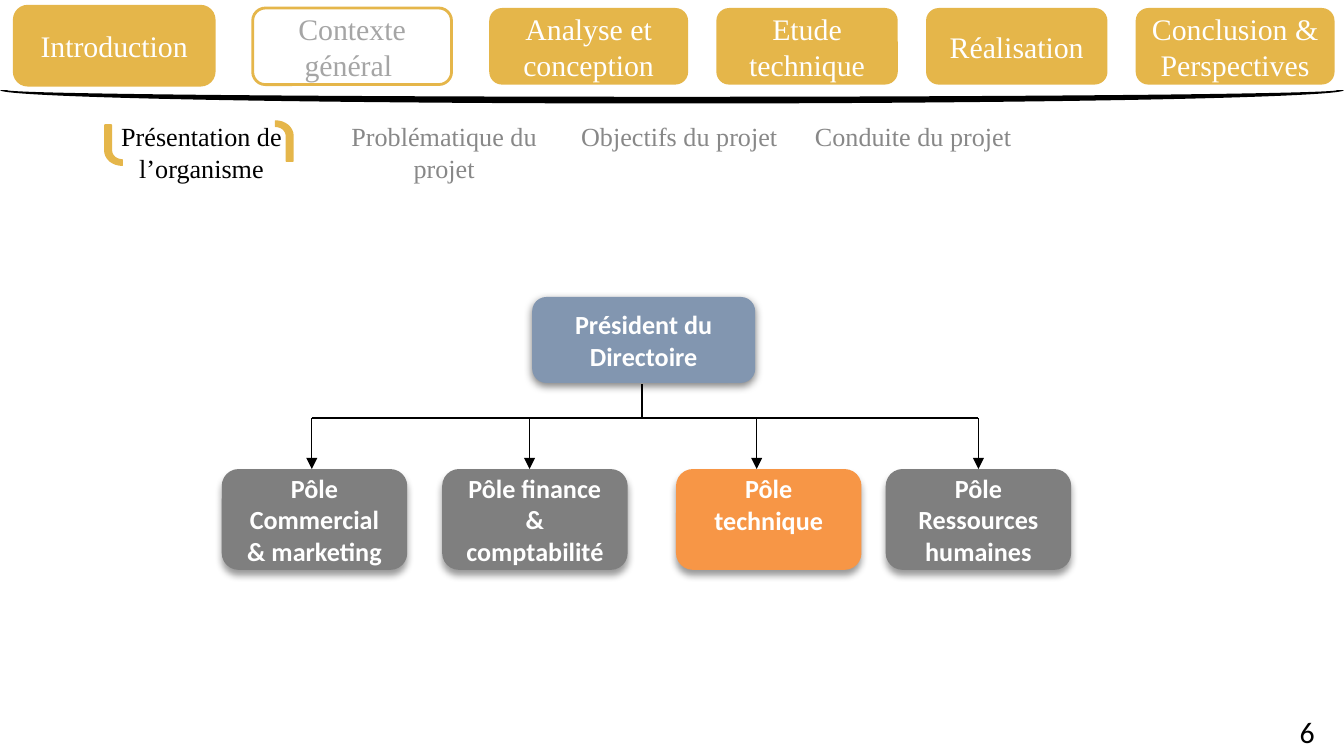
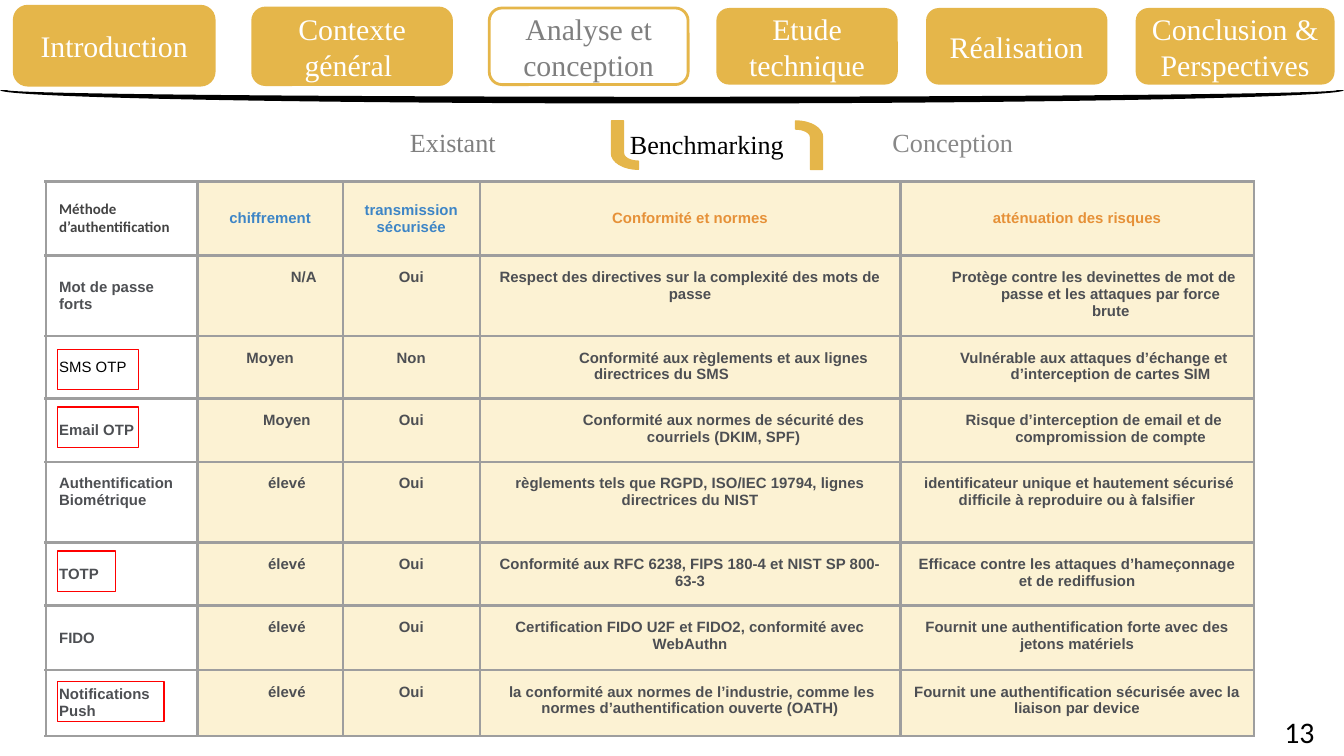
from dataclasses import dataclass
from itertools import pairwise
from math import cos, pi, sin

from lxml.etree import SubElement
from pptx import Presentation
from pptx.dml.color import RGBColor
from pptx.enum.shapes import MSO_CONNECTOR as Connector, MSO_SHAPE as Preset
from pptx.enum.text import MSO_ANCHOR as Anchor, PP_ALIGN as Align
from pptx.oxml.ns import qn
from pptx.util import Inches, Pt

COLORS = {
    "gold": "E5B64A", "white": "FFFFFF", "black": "000000", "light": "A5A5A5",
    "muted": "888888", "grey": "7F7F7F", "slate": "8296B0", "orange": "F79646",
    "red": "FF0000", "border": "9E9E9E", "cream": "F1C232", "charcoal": "434343",
    "body": "4D4F53", "blue": "3D85C6", "amber": "E69138",
}
SERIF, SANS, TABLE_FONT = "Times New Roman", "Calibri", "Arial"


@dataclass(frozen=True)
class NavButton:
    text: str
    left: float
    width: float
    top: float = 0.06
    height: float = 0.57
    outline: float = 1.5


@dataclass(frozen=True)
class Tab:
    text: str
    left: float
    top: float
    width: float
    height: float = 0.34
    color: str = "muted"


@dataclass(frozen=True)
class Hook:
    """Corner bracket: a stem that bends at the knee into a tip."""
    left: float
    top: float
    width: float
    height: float
    stem: float
    knee: float
    tip: float


@dataclass(frozen=True)
class Unit:
    text: str
    left: float
    top: float
    width: float
    height: float
    color: str = "grey"
    bottom_inset: float = 0.05
    shadow: tuple = (40, 4, 3)  # opacity %, blur pt, distance pt


NAVIGATION = (
    NavButton("Introduction", 0.11, 1.48, 0.05, 0.58, 2),
    NavButton("Contexte général ", 1.88, 1.48),
    NavButton("Analyse et conception", 3.64, 1.48),
    NavButton("Etude technique", 5.33, 1.35),
    NavButton("Réalisation", 6.89, 1.35),
    NavButton("Conclusion & Perspectives", 8.45, 1.48),
)

CONTEXT_TABS = (
    Tab("Présentation de l’organisme", 0.61, 0.85, 1.78, 0.57, "black"),
    Tab("Problématique du projet", 2.47, 0.85, 1.67, 0.57),
    Tab("Objectifs du projet", 4.22, 0.85, 1.67),
    Tab("Conduite du projet", 5.96, 0.85, 1.67),
)
ANALYSIS_TABS = (
    Tab("Existant", 2.51, 0.89, 1.72, color="grey"),
    Tab("Benchmarking", 4.4, 0.91, 1.72, color="black"),
    Tab("Conception", 6.23, 0.89, 1.72),
)

PRESIDENT = Unit("Président du Directoire", 3.96, 2.21, 1.66, 0.64, "slate",
                 shadow=(50, 4.5, 1.5))
DIVISIONS = (
    Unit("Pôle Commercial & marketing", 1.65, 3.49, 1.38, 0.75),
    Unit("Pôle finance & comptabilité", 3.29, 3.49, 1.38, 0.75),
    Unit("Pôle technique", 5.03, 3.49, 1.38, 0.75, "orange", 0.28),
    Unit("Pôle Ressources humaines", 6.59, 3.49, 1.38, 0.75),
)
BUS_Y, TRUNK_X = 3.11, 4.78
ARROWS_X = (2.32, 3.94, 5.63, 7.28)

COLUMN_WIDTHS = (1.13, 1.08, 1.02, 3.13, 2.63)
ROW_HEIGHTS = (0.55, 0.6, 0.46, 0.47, 0.6, 0.47, 0.48, 0.49)
HEADER_COLORS = ("charcoal", "blue", "blue", "amber", "amber")
METHODS = (
    ("Méthode d’authentification", "chiffrement", "transmission sécurisée",
     "Conformité et normes", "atténuation des risques"),
    ("Mot de passe forts", "N/A", "Oui",
     "Respect des directives sur la complexité des mots de passe",
     "Protège contre les devinettes de mot de passe et les attaques par force brute"),
    ("SMS OTP", "Moyen", "Non",
     "Conformité aux règlements et aux lignes directrices du SMS\t",
     "Vulnérable aux attaques d’échange et d’interception de cartes SIM"),
    ("Email OTP", "Moyen", "Oui",
     "Conformité aux normes de sécurité des courriels (DKIM, SPF)",
     "Risque d’interception de email et de compromission de compte"),
    ("Authentification Biométrique", "élevé", "Oui",
     "règlements tels que RGPD, ISO/IEC 19794, lignes directrices du NIST",
     " identificateur unique et hautement sécurisé difficile à reproduire ou à falsifier"),
    ("TOTP", "élevé", "Oui",
     "Conformité aux RFC 6238, FIPS 180-4 et NIST SP 800-63-3",
     "Efficace contre les attaques d’hameçonnage et de rediffusion"),
    ("FIDO", "élevé", "Oui",
     "Certification FIDO U2F et FIDO2, conformité avec WebAuthn",
     "Fournit une authentification forte avec des jetons matériels"),
    ("Notifications Push", "élevé", "Oui",
     " la conformité aux normes de l’industrie, comme les normes d’authentification "
     "ouverte (OATH)",
     "Fournit une authentification sécurisée avec la liaison par device"),
)
# (row, column): left margin and first-line indent
INDENTS = {(row, 1): (0.5, -0.25) for row in range(3, 8)}
INDENTS |= {(row, 4): (0.5, -0.25) for row in range(1, 4)}
INDENTS |= {cell: (0.5, 0) for cell in ((1, 1), (2, 3), (3, 3))}
TOP_HEADING_ROW = 4
# top and width of the frames around the selected methods
FRAMES = ((2.6, 0.6), (5.07, 0.79), (3.03, 0.6), (4.1, 0.43))


# Shared helpers
def rgb(name: str) -> RGBColor:
    return RGBColor.from_string(COLORS[name])


def box(left: float, top: float, width: float, height: float) -> tuple:
    return Inches(left), Inches(top), Inches(width), Inches(height)


def write(frame, text: str, font: str, size: float, color: str,
          align=Align.CENTER, bold: bool = False):
    frame.word_wrap = True
    paragraph = frame.paragraphs[0]
    paragraph.text = text
    paragraph.alignment = align
    paragraph.font.name, paragraph.font.size = font, Pt(size)
    paragraph.font.bold, paragraph.font.color.rgb = bold, rgb(color)
    return paragraph


def paint(shape, fill: str | None, line: str | None = None, width: float = 0.75) -> None:
    shape.shadow.inherit = False
    if fill:
        shape.fill.solid()
        shape.fill.fore_color.rgb = rgb(fill)
    else:
        shape.fill.background()
    if line:
        shape.line.color.rgb, shape.line.width = rgb(line), Pt(width)
    else:
        shape.line.fill.background()


def add_line(slide, start: tuple, end: tuple, width: float = 0.75,
             arrow: bool = False) -> None:
    line = slide.shapes.add_connector(Connector.STRAIGHT, *map(Inches, start + end))
    line.line.color.rgb, line.line.width = rgb("black"), Pt(width)
    if arrow:
        SubElement(line.line._get_or_add_ln(), qn("a:tailEnd"), type="triangle")
    SubElement(line._element.spPr, qn("a:effectLst"))


def add_label(slide, tab: Tab) -> None:
    label = slide.shapes.add_textbox(*box(tab.left, tab.top, tab.width, tab.height))
    write(label.text_frame, tab.text, SERIF, 14, tab.color)


def add_hook(slide, hook: Hook, rotation: int = 0) -> None:
    def bend(radius_x: float, radius_y: float) -> list:
        angles = [step * pi / 16 for step in range(9)]
        return [(hook.left + hook.width - radius_x * cos(angle),
                 hook.top + hook.knee + radius_y * sin(angle)) for angle in angles]

    depth = hook.height - hook.knee
    inner = bend(hook.width - hook.stem, depth - hook.tip)
    points = bend(hook.width, depth) + inner[::-1] + [(hook.left + hook.stem, hook.top)]
    builder = slide.shapes.build_freeform(Inches(hook.left), Inches(hook.top))
    builder.add_line_segments([(Inches(x), Inches(y)) for x, y in points], close=True)
    shape = builder.convert_to_shape()
    shape.rotation = rotation
    paint(shape, "gold", "gold")


def add_frame(slide, number: int, active: int, active_color: str) -> None:
    """Draw the curved rule, the navigation band and the page number."""
    arc = slide.shapes.add_shape(Preset.BLOCK_ARC, *box(0, 0.57, 10, 0.2))
    arc.rotation = 180
    for index, value in enumerate((108, 0, 0.25)):
        arc.adjustments[index] = value
    paint(arc, "black")

    page = slide.shapes.add_textbox(*box(7.55, 5.29, 2.33, 0.3)).text_frame
    page.vertical_anchor = Anchor.MIDDLE
    write(page, str(number), SANS, 16, "black", Align.RIGHT)

    for index, button in enumerate(NAVIGATION):
        current = index == active
        shape = slide.shapes.add_shape(
            Preset.ROUNDED_RECTANGLE,
            *box(button.left, button.top, button.width, button.height))
        paint(shape, "white" if current else "gold",
              "gold" if index <= active else None, button.outline)
        frame = shape.text_frame
        frame.margin_left = frame.margin_right = Inches(0.07)
        frame.margin_top = frame.margin_bottom = Inches(0.04)
        write(frame, button.text, SERIF, 16, active_color if current else "white")


# Organisation chart
def add_unit(slide, unit: Unit) -> None:
    shape = slide.shapes.add_shape(
        Preset.ROUNDED_RECTANGLE, *box(unit.left, unit.top, unit.width, unit.height))
    paint(shape, unit.color)
    opacity, blur, distance = unit.shadow
    shadow = SubElement(shape._element.spPr.find(qn("a:effectLst")), qn("a:outerShdw"),
                        blurRad=str(Pt(blur)), dist=str(Pt(distance)),
                        dir="5400000", rotWithShape="0")
    tint = SubElement(shadow, qn("a:srgbClr"), val=COLORS["black"])
    SubElement(tint, qn("a:alpha"), val=str(opacity * 1000))
    shape.text_frame.margin_bottom = Inches(unit.bottom_inset)
    write(shape.text_frame, unit.text, SANS, 14, "white", bold=True)


def build_organisation(slide) -> None:
    add_frame(slide, 6, 1, "light")
    for tab in CONTEXT_TABS:
        add_label(slide, tab)
    add_hook(slide, Hook(2.05, 0.9, 0.13, 0.3, 0.05, 0.19, 0.04), 180)
    add_hook(slide, Hook(0.78, 0.93, 0.13, 0.3, 0.05, 0.19, 0.04))
    for unit in (*DIVISIONS, PRESIDENT):
        add_unit(slide, unit)
    for x in ARROWS_X:
        add_line(slide, (x, BUS_Y), (x, 3.49), arrow=True)
    add_line(slide, (TRUNK_X, 2.86), (TRUNK_X, BUS_Y), 1)
    for start, end in pairwise((ARROWS_X[0], TRUNK_X, *ARROWS_X[2:])):
        add_line(slide, (start, BUS_Y), (end, BUS_Y))


# Benchmark table
def style_cell(cell, fill: str | None) -> None:
    properties = cell._tc.get_or_add_tcPr()
    if fill:
        cell.fill.solid()
        cell.fill.fore_color.rgb = rgb(fill)
        tint = properties.find(qn("a:solidFill")).find(qn("a:srgbClr"))
        SubElement(tint, qn("a:alpha"), val="21000")
    else:
        cell.fill.background()
    for index, side in enumerate(("a:lnL", "a:lnR", "a:lnT", "a:lnB")):
        border = SubElement(properties, qn(side), w=str(Pt(1.5)))
        SubElement(SubElement(border, qn("a:solidFill")), qn("a:srgbClr"),
                   val=COLORS["border"])
        properties.insert(index, border)
    cell.margin_left = cell.margin_right = Inches(0.1)
    cell.margin_top = cell.margin_bottom = Inches(0.1)


def add_benchmark(slide) -> None:
    table = slide.shapes.add_table(
        len(METHODS), len(COLUMN_WIDTHS),
        *box(0.34, 1.35, sum(COLUMN_WIDTHS), sum(ROW_HEIGHTS))).table
    table.first_row = table.horz_banding = False
    for column, width in zip(table.columns, COLUMN_WIDTHS):
        column.width = Inches(width)
    for row, (values, height) in enumerate(zip(METHODS, ROW_HEIGHTS)):
        table.rows[row].height = Inches(height)
        for column, text in enumerate(values):
            cell = table.cell(row, column)
            style_cell(cell, "cream" if column else None)
            middle = row == 0 or (column == 0 and row != TOP_HEADING_ROW)
            cell.vertical_anchor = Anchor.MIDDLE if middle else Anchor.TOP
            plain = text == "SMS OTP"
            color = HEADER_COLORS[column] if row == 0 else "black" if plain else "body"
            paragraph = write(cell.text_frame, text,
                              TABLE_FONT if row or column else SANS, 8, color,
                              Align.CENTER if column else Align.LEFT, not plain)
            if (row, column) in INDENTS:
                margin, indent = INDENTS[row, column]
                properties = paragraph._p.get_or_add_pPr()
                properties.set("marL", str(Inches(margin)))
                properties.set("indent", str(Inches(indent)))
                properties.set("defTabSz", str(Inches(1)))


def build_benchmark(slide) -> None:
    add_frame(slide, 13, 2, "grey")
    add_hook(slide, Hook(5.92, 0.9, 0.2, 0.36, 0.09, 0.24, 0.06), 180)
    add_hook(slide, Hook(4.55, 0.9, 0.2, 0.36, 0.09, 0.24, 0.06))
    for tab in ANALYSIS_TABS:
        add_label(slide, tab)
    add_benchmark(slide)
    for top, width in FRAMES:
        paint(slide.shapes.add_shape(Preset.RECTANGLE, *box(0.43, top, width, 0.3)),
              None, "red")


def main() -> None:
    presentation = Presentation()
    presentation.slide_width = Inches(10)
    presentation.slide_height = Inches(10) * 9 // 16
    blank = presentation.slide_layouts[6]
    for build in (build_organisation, build_benchmark):
        build(presentation.slides.add_slide(blank))
    presentation.save("out.pptx")


if __name__ == "__main__":
    main()
